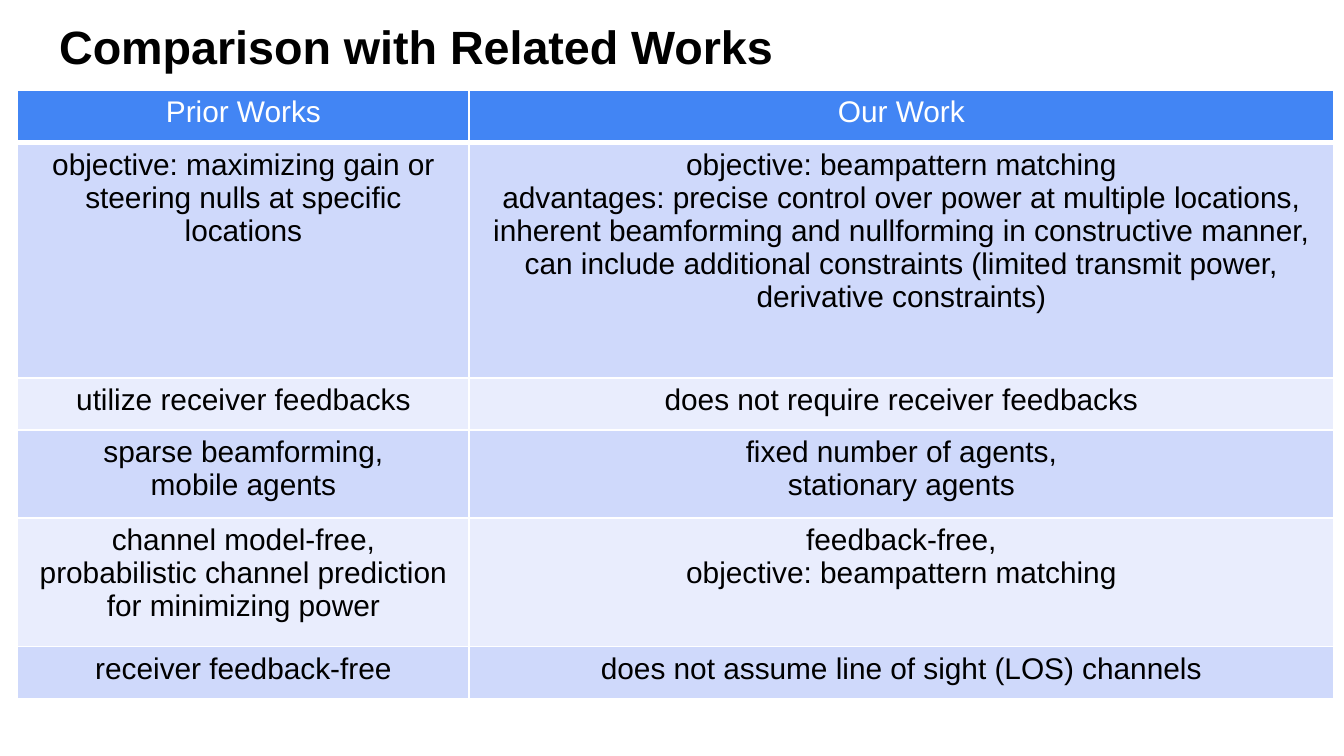
from dataclasses import dataclass

from lxml.etree import SubElement
from pptx import Presentation
from pptx.dml.color import RGBColor
from pptx.enum.text import MSO_ANCHOR, MSO_AUTO_SIZE, PP_ALIGN
from pptx.oxml.ns import qn
from pptx.util import Pt


@dataclass(frozen=True)
class Theme:
    font: str = "Arial"
    title_size: int = 25
    table_size: int = 16
    ink: str = "000000"
    paper: str = "FFFFFF"
    header: str = "4285F4"
    bands: tuple = ("CFD9FB", "E9EDFD")
    rule: int = 1
    header_rule: int = 3


THEME = Theme()

COLUMN_WIDTHS = (242, 463)
ROW_HEIGHTS = (28, 126, 28, 47, 69, 28)
COMPARISON = (
    ("Prior Works", "Our Work"),
    ("objective: maximizing gain or steering nulls at specific locations",
     "objective: beampattern matching\n"
     "advantages: precise control over power at multiple locations,\n"
     "inherent beamforming and nullforming in constructive manner,\n"
     "can include additional constraints (limited transmit power, derivative constraints)"),
    ("utilize receiver feedbacks", "does not require receiver feedbacks"),
    ("sparse beamforming,\nmobile agents",
     "fixed number of agents,\nstationary agents"),
    ("channel model-free,\nprobabilistic channel prediction for minimizing power",
     "feedback-free,\nobjective: beampattern matching"),
    ("receiver feedback-free", "does not assume line of sight (LOS) channels"),
)


def style_font(font, size, color, bold=False):
    font.name = THEME.font
    font.size = Pt(size)
    font.bold = bold
    font.color.rgb = RGBColor.from_string(color)


def add_border(cell, side, width):
    line = SubElement(cell._tc.get_or_add_tcPr(), qn(f"a:{side}"), w=str(Pt(width)))
    fill = SubElement(line, qn("a:solidFill"))
    SubElement(fill, qn("a:srgbClr"), val=THEME.paper)


def fill_cell(cell, content, is_header, band):
    # Borders come before the fill in the cell properties
    bottom = THEME.header_rule if is_header else THEME.rule
    for side in ("lnL", "lnR", "lnT"):
        add_border(cell, side, THEME.rule)
    add_border(cell, "lnB", bottom)
    cell.fill.solid()
    cell.fill.fore_color.rgb = RGBColor.from_string(THEME.header if is_header else band)

    cell.margin_left = cell.margin_right = Pt(5)
    cell.margin_top = cell.margin_bottom = Pt(3)
    cell.vertical_anchor = MSO_ANCHOR.TOP
    cell.text_frame.text = content
    for paragraph in cell.text_frame.paragraphs:
        paragraph.alignment = PP_ALIGN.CENTER
        for run in paragraph.runs:
            style_font(run.font, THEME.table_size,
                       THEME.paper if is_header else THEME.ink)


def place_heading(slide, left, top, width, height):
    heading = slide.shapes.title
    heading.left, heading.top = Pt(left), Pt(top)
    heading.width, heading.height = Pt(width), Pt(height)
    frame = heading.text_frame
    frame.text = "Comparison with Related Works"
    frame.word_wrap = True
    frame.auto_size = MSO_AUTO_SIZE.NONE
    frame.vertical_anchor = MSO_ANCHOR.TOP
    frame.margin_left = frame.margin_right = Pt(7.2)
    frame.margin_top = frame.margin_bottom = Pt(7.2)
    paragraph = frame.paragraphs[0]
    paragraph.alignment = PP_ALIGN.LEFT
    paragraph.line_spacing = 0.9
    paragraph.space_before = Pt(0)
    style_font(paragraph.runs[0].font, THEME.title_size, THEME.ink, bold=True)


def place_comparison(slide, left, top, width, height):
    comparison = slide.shapes.add_table(
        len(COMPARISON), len(COLUMN_WIDTHS),
        Pt(left), Pt(top), Pt(width), Pt(height)).table
    for column, share in zip(comparison.columns, COLUMN_WIDTHS):
        column.width = Pt(width * share / sum(COLUMN_WIDTHS))
    for row, share in zip(comparison.rows, ROW_HEIGHTS):
        row.height = Pt(height * share / sum(ROW_HEIGHTS))
    for r, contents in enumerate(COMPARISON):
        for c, content in enumerate(contents):
            fill_cell(comparison.cell(r, c), content, r == 0, THEME.bands[(r - 1) % 2])


def main():
    deck = Presentation()
    deck.slide_width, deck.slide_height = Pt(720), Pt(405)
    slide = deck.slides.add_slide(deck.slide_layouts[5])  # Title Only
    slide.background.fill.solid()
    slide.background.fill.fore_color.rgb = RGBColor.from_string(THEME.paper)

    place_heading(slide, 24.5, 5.8, 690, 31)
    place_comparison(slide, 9.4, 48.5, 705, 326)
    deck.save("out.pptx")


if __name__ == "__main__":
    main()
